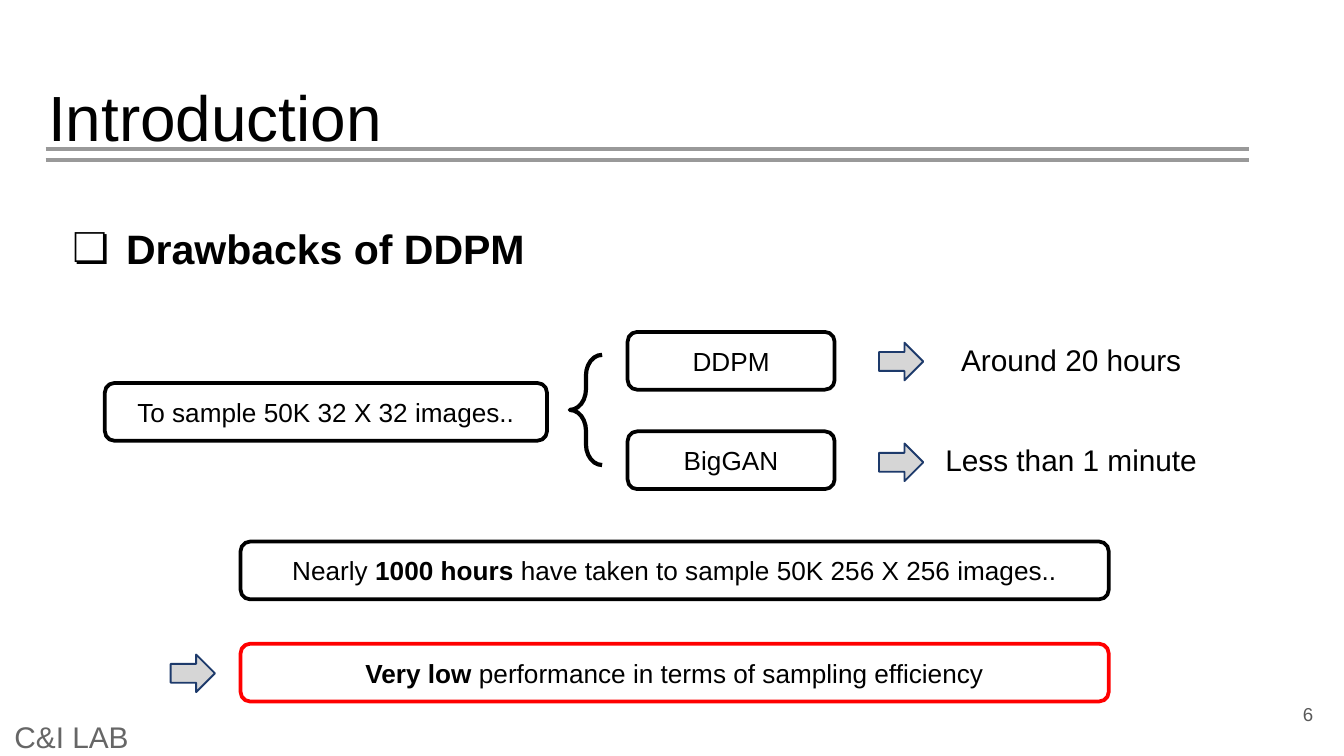
"""Build the introduction slide on the drawbacks of DDPM."""
from dataclasses import dataclass
from typing import Optional

from lxml.etree import SubElement
from pptx import Presentation
from pptx.dml.color import RGBColor
from pptx.enum.shapes import MSO_CONNECTOR as Connector, MSO_SHAPE as Preset
from pptx.enum.text import MSO_ANCHOR as Anchor, PP_ALIGN as Align
from pptx.oxml.ns import qn
from pptx.util import Inches, Pt

BLACK = RGBColor(0x00, 0x00, 0x00)
WHITE = RGBColor(0xFF, 0xFF, 0xFF)
RED = RGBColor(0xFF, 0x00, 0x00)
RULE_GRAY = RGBColor(0x99, 0x99, 0x99)
LAB_GRAY = RGBColor(0x66, 0x66, 0x66)
NUMBER_GRAY = RGBColor(0x59, 0x59, 0x59)
ARROW_FILL = RGBColor(0xD6, 0xD6, 0xD6)
ARROW_LINE = RGBColor(0x1D, 0x3A, 0x6B)
FONT = "Arial"
BOX_HEIGHT = 0.43


@dataclass(frozen=True)
class Span:
    text: str
    bold: bool = False


@dataclass(frozen=True)
class Label:
    left: float
    top: float
    width: float
    height: float
    text: str
    size: float
    color: RGBColor = BLACK
    align: Align = Align.LEFT
    anchor: Anchor = Anchor.TOP
    inset: float = 0.1
    bold: bool = False


@dataclass(frozen=True)
class Statement:
    left: float
    top: float
    width: float
    spans: tuple[Span, ...]
    line: RGBColor = BLACK


LABELS = (
    Label(0.26, 0.48, 9.32, 0.63, "Introduction", 34.2),
    Label(9.27, 5.1, 0.6, 0.43, "6", 10, NUMBER_GRAY, Align.RIGHT, Anchor.MIDDLE),
    Label(0.01, 5.34, 10, 0.28, "C&I LAB", 16, LAB_GRAY, anchor=Anchor.MIDDLE),
    Label(6.28, 2.49, 3.38, 0.37, "Around 20 hours", 16, align=Align.CENTER, inset=0.05),
    Label(6.28, 3.24, 3.38, 0.37, "Less than 1 minute", 16, align=Align.CENTER, inset=0.05),
)
HEADING = Label(0.34, 1.51, 9.32, 0.63, "Drawbacks of DDPM", 22, bold=True)
STATEMENTS = (
    Statement(0.78, 2.85, 3.29, (Span("To sample 50K 32 X 32 images.."),)),
    Statement(4.67, 2.47, 1.54, (Span("DDPM"),)),
    Statement(4.67, 3.21, 1.54, (Span("BigGAN"),)),
    Statement(1.79, 4.03, 6.46, (
        Span("Nearly "),
        Span("1000 hours ", True),
        Span("have taken to sample 50K 256 X 256 images.."),
    )),
    Statement(1.79, 4.79, 6.46, (
        Span("Very low", True),
        Span(" performance in terms of sampling efficiency"),
    ), RED),
)
ARROWS = ((6.54, 2.55), (6.54, 3.3), (1.27, 4.87))
RULE_TOPS = (1.11, 1.19)


def add_span(para, span: Span, size: float, color: RGBColor) -> None:
    run = para.add_run()
    run.text = span.text
    run.font.name = FONT
    run.font.size = Pt(size)
    run.font.bold = span.bold
    run.font.color.rgb = color


def add_label(page, label: Label):
    box = page.shapes.add_textbox(
        Inches(label.left), Inches(label.top), Inches(label.width), Inches(label.height))
    frame = box.text_frame
    frame.word_wrap = True
    frame.vertical_anchor = label.anchor
    frame.margin_left = frame.margin_right = Inches(0.1)
    frame.margin_top = frame.margin_bottom = Inches(label.inset)
    para = frame.paragraphs[0]
    para.alignment = label.align
    add_span(para, Span(label.text, label.bold), label.size, label.color)
    return para


def add_heading(page, heading: Label) -> None:
    para = add_label(page, heading)
    para.line_spacing = 1.15
    properties = para._p.get_or_add_pPr()
    properties.set("marL", str(Inches(0.5)))
    properties.set("indent", str(-Inches(0.4)))
    color = SubElement(properties, qn("a:buClr"))
    SubElement(color, qn("a:srgbClr")).set("val", str(BLACK))
    SubElement(properties, qn("a:buSzPts")).set("val", str(heading.size * 100))
    SubElement(properties, qn("a:buFont")).set("typeface", FONT)
    SubElement(properties, qn("a:buChar")).set("char", "❏")
    para.font.size = Pt(heading.size)


def add_preset(page, preset: Preset, left: float, top: float, width: float, height: float,
               line: RGBColor, weight: float, fill: Optional[RGBColor] = None):
    shape = page.shapes.add_shape(
        preset, Inches(left), Inches(top), Inches(width), Inches(height))
    shape.shadow.inherit = False
    if fill is None:
        shape.fill.background()
    else:
        shape.fill.solid()
        shape.fill.fore_color.rgb = fill
    shape.line.color.rgb = line
    shape.line.width = Pt(weight)
    return shape


def add_statement(page, statement: Statement) -> None:
    box = add_preset(page, Preset.ROUNDED_RECTANGLE, statement.left, statement.top,
                     statement.width, BOX_HEIGHT, statement.line, 2, WHITE)
    frame = box.text_frame
    frame.word_wrap = True
    frame.vertical_anchor = Anchor.MIDDLE
    para = frame.paragraphs[0]
    para.alignment = Align.CENTER
    for span in statement.spans:
        add_span(para, span, 14, BLACK)


def add_rule(page, top: float) -> None:
    rule = page.shapes.add_connector(
        Connector.STRAIGHT, Inches(0.34), Inches(top), Inches(9.29), Inches(top))
    rule.line.color.rgb = RULE_GRAY
    rule.line.width = Pt(2.25)
    SubElement(rule._element.spPr, qn("a:effectLst"))


def main() -> None:
    deck = Presentation()
    deck.slide_width = Inches(10)
    deck.slide_height = Inches(10 * 9 / 16)
    page = deck.slides.add_slide(deck.slide_layouts[6])
    for label in LABELS:
        add_label(page, label)
    add_heading(page, HEADING)
    for top in RULE_TOPS:
        add_rule(page, top)
    for statement in STATEMENTS:
        add_statement(page, statement)
    brace = add_preset(page, Preset.LEFT_BRACE, 4.24, 2.64, 0.24, 0.82, BLACK, 2.25)
    brace.adjustments[0] = 0.64
    for left, top in ARROWS:
        add_preset(page, Preset.RIGHT_ARROW, left, top, 0.33, 0.28, ARROW_LINE, 1, ARROW_FILL)
    deck.save("out.pptx")


if __name__ == "__main__":
    main()
